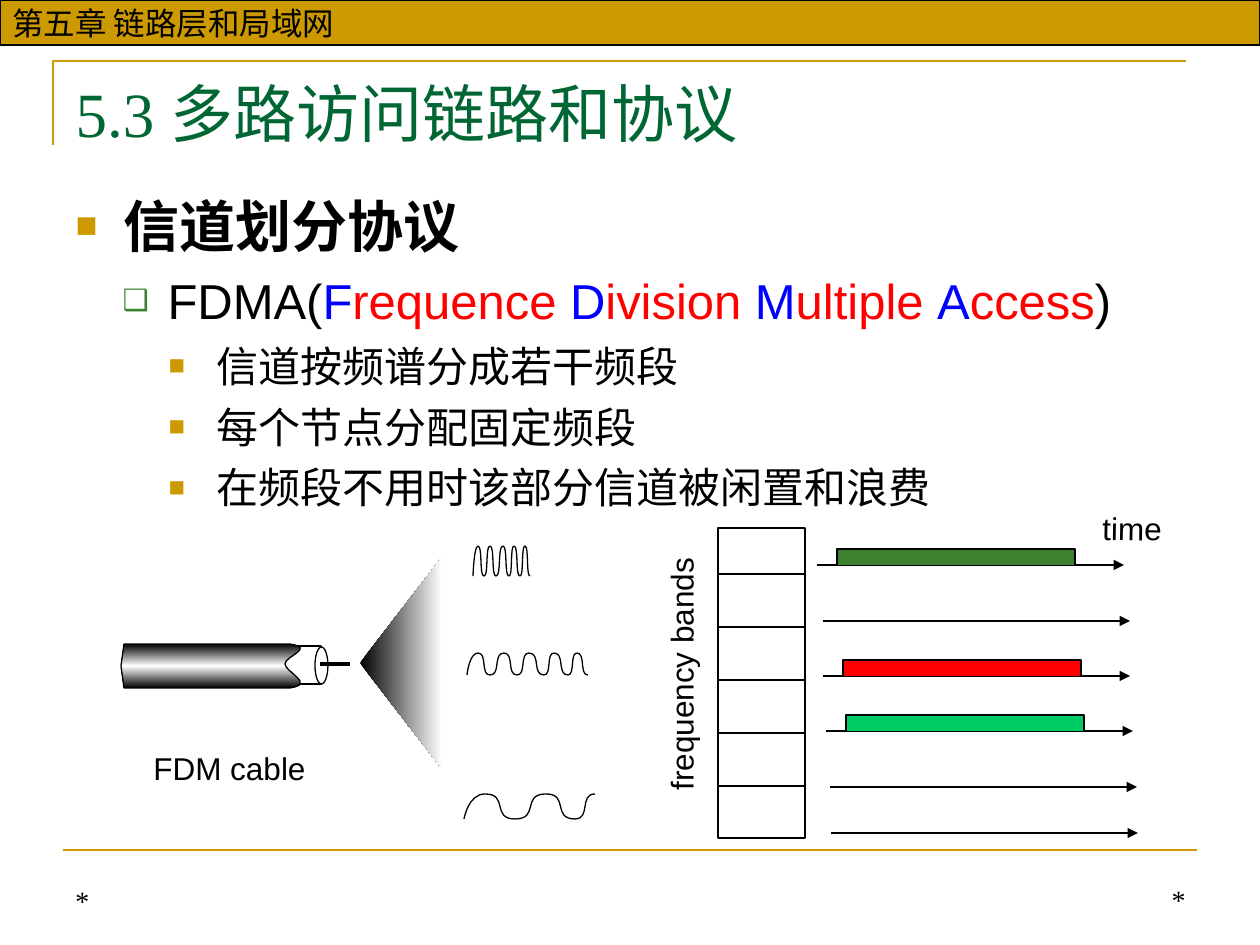
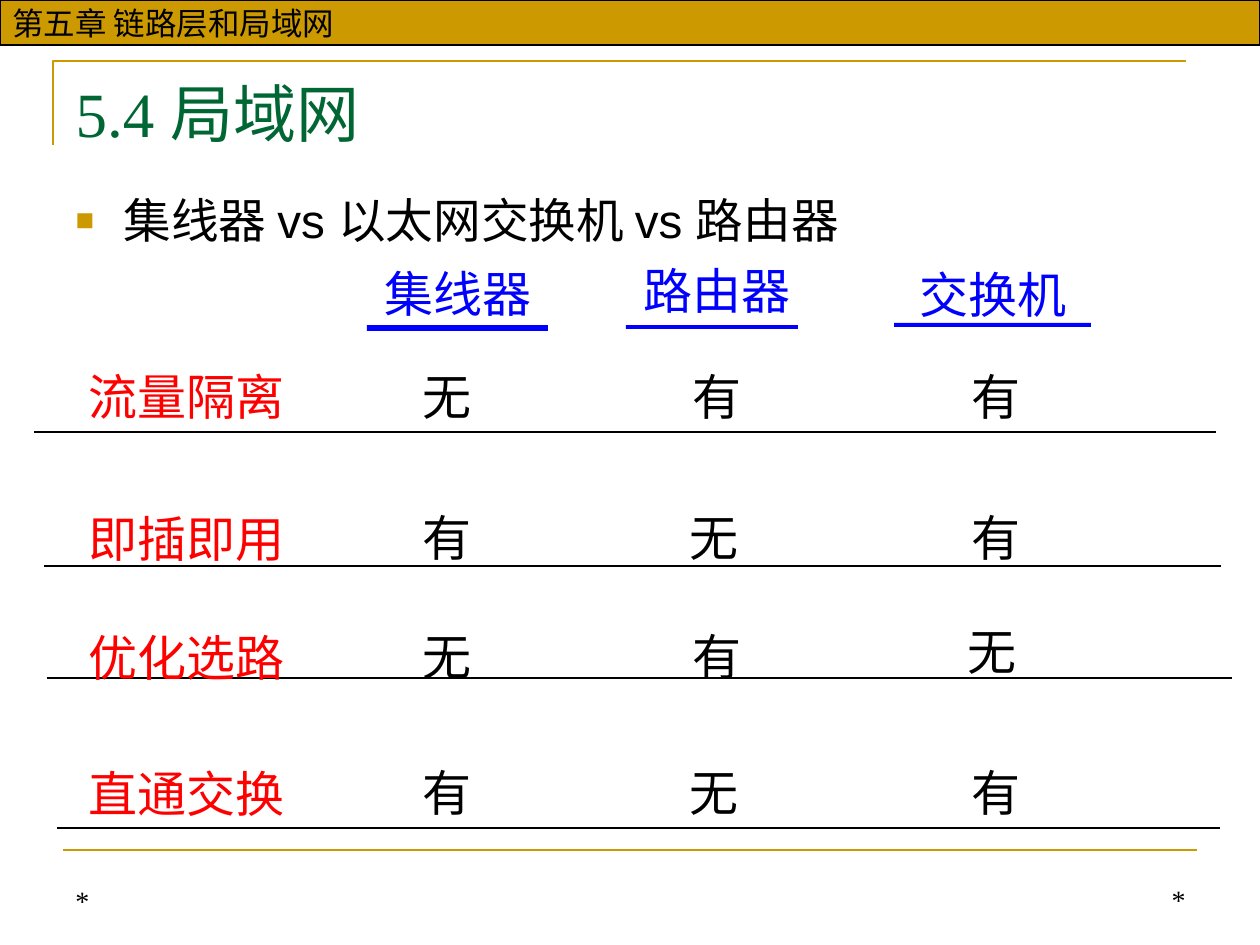
from copy import deepcopy

from lxml import etree
from pptx import Presentation
from pptx import util as u
from pptx.dml.color import RGBColor
from pptx.enum import shapes, text
from pptx.oxml.ns import qn

PX = 914400 / 126
COLOURS = {
    "gold": "CC9900", "title": "006633", "black": "000000", "white": "FFFFFF",
    "blue": "0000FF", "red": "FF0000", "green": "3B812F", "mint": "00CC66",
}
SANS, SERIF = "Arial", "Times New Roman"

# Shared frame
CHAPTER = "第五章 链路层和局域网"
TITLE_BOX = (63, 68, 1134, 97)
FOOTERS = [((63, 860, 294, 63), text.PP_ALIGN.LEFT), ((799, 859, 399, 63), text.PP_ALIGN.RIGHT)]
# Per outline level: left margin, hanging indent, space before, glyph, glyph %, colour
LEVELS = [
    (48, 48, 8, "■", 65, "gold"),
    (92, 45, 7, "❑", 60, "green"),
    (141, 48, 6, "■", 65, "gold"),
]

# Slide 1: level, size, bold, spans
FDMA_TITLE = "5.3 多路访问链路和协议"
FDMA_NAME = [
    ("FDMA(", "black"), ("F", "blue"), ("requence ", "red"), ("D", "blue"), ("ivision ", "red"),
    ("M", "blue"), ("ultiple ", "red"), ("A", "blue"), ("ccess", "red"), (")", "black"),
]
FDMA_OUTLINE = [
    (0, 32, True, [("信道划分协议", "black")]),
    (1, 28, False, FDMA_NAME),
    (2, 24, False, [("信道按频谱分成若干频段", "black")]),
    (2, 24, False, [("每个节点分配固定频段", "black")]),
    (2, 24, False, [("在频段不用时该部分信道被闲置和浪费", "black")]),
]
DIAGRAM_LABELS = [  # text, box, rotation
    ("frequency bands", (552, 649, 258, 50), 270),
    ("time", (1090, 503, 86, 50), 1.1),
    ("FDM cable", (141, 743, 178, 50), 0),
]
# Time axis start, height, and colour of the slot in use
TIME_AXES = [
    (817, 565, "green"), (823, 621, None), (823, 676, "red"),
    (826, 731, "mint"), (830, 787, None), (831, 833, None),
]
AXIS_LENGTH, SLOT_OFFSET, SLOT_WIDTH, SLOT_HEIGHT = 307, 20, 238, 16
BANDS_BOX, BAND_COUNT, BAND_STEP = (718, 528, 87, 310), 6, 53
# Crest height, trough height, turning points from left to right
WAVES = [
    (546, 576, [473, 478, 484, 490, 496, 503, 509, 514, 520, 525, 530]),
    (653, 675, [467, 478, 490, 504, 517, 529, 544, 554, 568, 577, 588]),
    (794, 819, [464, 485, 515, 546, 575, 595]),
]

# Slide 2
LAN_TITLE = "5.4 局域网"
LAN_OUTLINE = [(0, 27.2, False, [("集线器 vs 以太网交换机 vs 路由器", "black")])]
DEVICES = [  # name, text corner, underline box
    ("集线器", (385, 264), (367, 325, 181, 6)),
    ("路由器", (644, 261), (626, 325, 172, 4)),
    ("交换机", (920, 265), (894, 323, 197, 4)),
]
COLUMN_LEFTS = [89, 423, 693, 972]
FEATURES = [  # row cells, text top, rule (left, right, height)
    (["流量隔离", "无", "有", "有"], 367, (34, 1216, 432)),
    (["即插即用", "有", "无", "有"], 508, (44, 1221, 566)),
    (["优化选路", "无", "有", "无"], 627, (47, 1232, 678)),
    (["直通交换", "有", "无", "有"], 763, (57, 1220, 828)),
]
NUDGES = {(1, 2): (-3, 0), (2, 3): (-4, -5), (3, 2): (-3, 0)}  # (row, column): shift
GLYPH_WIDTH, CELL_HEIGHT = 49, 59


def emu(*lengths):
    return [round(length * PX) for length in lengths]


def rgb(name):
    return RGBColor.from_string(COLOURS[name])


def style_shape(shape, fill=None, line=None, width=0.75):
    shape.shadow.inherit = False
    if fill:
        shape.fill.solid()
        shape.fill.fore_color.rgb = rgb(fill)
    else:
        shape.fill.background()
    if line:
        shape.line.color.rgb = rgb(line)
        shape.line.width = u.Pt(width)
    else:
        shape.line.fill.background()
    return shape


def add_preset(slide, box, fill, line=None, width=0.75, kind=shapes.MSO_SHAPE.RECTANGLE):
    return style_shape(slide.shapes.add_shape(kind, *emu(*box)), fill, line, width)


def add_outline(slide, start, segments, fill=None, line=None, width=0.75, close=False):
    """Draw segments of one point (a straight line) or three points (a Bezier curve)."""
    builder = slide.shapes.build_freeform(*emu(*start))
    points = [tuple(emu(*point)) for segment in segments for point in segment]
    builder.add_line_segments(points, close=close)
    shape = builder.convert_to_shape()
    lines = iter(shape._element.spPr.findall(".//" + qn("a:lnTo")))
    for segment in segments:
        steps = [next(lines) for _ in segment]
        if len(steps) == 3:
            bezier = etree.Element(qn("a:cubicBezTo"))
            steps[0].addprevious(bezier)
            for step in steps:
                bezier.append(step[0])
                step.getparent().remove(step)
    return style_shape(shape, fill, line, width)


def add_line(slide, start, end, colour="black", width=1.5, arrow=False):
    line = slide.shapes.add_connector(
        shapes.MSO_CONNECTOR.STRAIGHT, *emu(*start), *emu(*end))
    line.line.color.rgb = rgb(colour)
    line.line.width = u.Pt(width)
    properties = line._element.spPr
    if arrow:
        etree.SubElement(properties.find(qn("a:ln")), qn("a:tailEnd"), type="triangle")
    etree.SubElement(properties, qn("a:effectLst"))


def fill_gradient(shape, names, angle):
    shape.fill.gradient()
    shape.fill.gradient_angle = angle
    stop_list = shape._element.spPr.find(".//" + qn("a:gsLst"))
    while len(stop_list) < len(names):
        stop_list.append(deepcopy(stop_list[0]))
    for index, (stop, name) in enumerate(zip(shape.fill.gradient_stops, names)):
        stop.position = index / (len(names) - 1)
        stop.color.rgb = rgb(name)


def set_font(para, size, colour="black", name=SANS, bold=False):
    font = para.font
    font.name, font.size, font.bold = name, u.Pt(size), bold
    font.color.rgb = rgb(colour)


def add_label(slide, box, words, size=18, colour="black", inset=True, rotation=0):
    label = slide.shapes.add_textbox(*emu(*box))
    label.rotation = rotation
    frame = label.text_frame
    frame.word_wrap = False
    frame.auto_size = text.MSO_AUTO_SIZE.SHAPE_TO_FIT_TEXT
    if not inset:
        frame.margin_left = frame.margin_right = frame.margin_top = frame.margin_bottom = 0
    para = frame.paragraphs[0]
    para.text = words
    set_font(para, size, colour)


def add_footer(slide, box, align):
    frame = slide.shapes.add_textbox(*emu(*box)).text_frame
    frame.word_wrap = True
    frame.vertical_anchor = text.MSO_ANCHOR.BOTTOM
    para = frame.paragraphs[0]
    para.text, para.alignment = "*", align
    set_font(para, 16, name=SERIF)


def prepare_placeholder(holder, box):
    holder.left, holder.top, holder.width, holder.height = emu(*box)
    frame = holder.text_frame
    frame.word_wrap = True
    frame.auto_size = text.MSO_AUTO_SIZE.NONE
    frame.vertical_anchor = text.MSO_ANCHOR.TOP
    return frame


def add_bullet(para, level):
    margin, hanging, _, glyph, percent, colour = LEVELS[level]
    properties = para._p.get_or_add_pPr()
    properties.set("marL", str(emu(margin)[0]))
    properties.set("indent", str(-emu(hanging)[0]))
    tint = etree.SubElement(properties, qn("a:buClr"))
    etree.SubElement(tint, qn("a:srgbClr"), val=COLOURS[colour])
    etree.SubElement(properties, qn("a:buSzPct"), val=str(percent * 1000))
    etree.SubElement(properties, qn("a:buFont"), typeface=SANS)
    etree.SubElement(properties, qn("a:buChar"), char=glyph)


def write_outline(holder, height, outline):
    frame = prepare_placeholder(holder, (63, 185, 1134, height))
    for index, (level, size, bold, spans) in enumerate(outline):
        para = frame.add_paragraph() if index else frame.paragraphs[0]
        para.level = level
        para.space_before = u.Pt(LEVELS[level][2] if index else 0)
        add_bullet(para, level)
        set_font(para, size, bold=bold)
        for words, colour in spans:
            span = para.add_run()
            span.text = words
            span.font.color.rgb = rgb(colour)


def add_page(deck, title, body_height, outline):
    slide = deck.slides.add_slide(deck.slide_layouts[1])
    add_outline(slide, (53, 145), [[(53, 61)], [(1186, 61)]], line="gold", width=1.5)
    add_line(slide, (63, 850), (1197, 850), "gold")
    band = add_preset(slide, (0, 0, 1260, 45), "gold", "black")
    band.text_frame.vertical_anchor = text.MSO_ANCHOR.MIDDLE
    para = band.text_frame.paragraphs[0]
    para.text, para.alignment = CHAPTER, text.PP_ALIGN.LEFT
    set_font(para, 18)
    for box, align in FOOTERS:
        add_footer(slide, box, align)
    para = prepare_placeholder(slide.shapes.title, TITLE_BOX).paragraphs[0]
    para.text, para.alignment = title, text.PP_ALIGN.LEFT
    set_font(para, 36, "title", SERIF)
    write_outline(slide.placeholders[1], body_height, outline)
    return slide


def draw_bands(slide):
    left, top, width, _ = BANDS_BOX
    add_preset(slide, BANDS_BOX, "white", "black", 1.5)
    for index in range(BAND_COUNT - 1):
        y = top + 46 + index * BAND_STEP
        add_line(slide, (left, y), (left + width, y))
    for x, y, colour in TIME_AXES:
        add_line(slide, (x, y), (x + AXIS_LENGTH, y), arrow=True)
        if colour:
            near, far, crest = x + SLOT_OFFSET, x + SLOT_OFFSET + SLOT_WIDTH, y - SLOT_HEIGHT
            add_outline(slide, (near, y), [[(near, crest)], [(far, crest)], [(far, y)]],
                        colour, "black", 1.5)


def draw_cable(slide):
    cone = add_outline(slide, (442, 557), [[(360, 663)], [(442, 769)]], close=True)
    fill_gradient(cone, ["black", "white"], 0)
    add_preset(slide, (284, 646, 37, 38), "white", "black")
    jacket = [
        [(121, 666)], [(124, 688)], [(290, 688)],
        [(316, 684), (285, 672), (285, 664)],
        [(285, 656), (316, 648), (290, 644)],
    ]
    sheath = add_outline(slide, (124, 644), jacket, line="black", close=True)
    fill_gradient(sheath, ["black", "white", "black"], 90)
    add_preset(slide, (315, 647, 13, 37), "white", "black", kind=shapes.MSO_SHAPE.OVAL)
    add_line(slide, (320, 664), (350, 664), width=2.25)


def draw_wave(slide, crest, trough, turns):
    points = [(x, crest if index % 2 else trough) for index, x in enumerate(turns)]
    segments = []
    for (x0, y0), (x1, y1) in zip(points, points[1:]):
        pull = 0.8 * (x1 - x0) if segments else 0
        segments.append([(x0 + pull, y0), (x0 + 0.2 * (x1 - x0), y1), (x1, y1)])
    add_outline(slide, points[0], segments, line="black")


def build_fdma(deck):
    slide = add_page(deck, FDMA_TITLE, 655, FDMA_OUTLINE)
    draw_bands(slide)
    draw_cable(slide)
    for wave in WAVES:
        draw_wave(slide, *wave)
    for words, box, rotation in DIAGRAM_LABELS:
        add_label(slide, box, words, rotation=rotation)


def add_cell(slide, left, top, words, colour):
    box = (left, top, GLYPH_WIDTH * len(words), CELL_HEIGHT)
    add_label(slide, box, words, 28, colour, inset=False)


def build_comparison(deck):
    slide = add_page(deck, LAN_TITLE, 71, LAN_OUTLINE)
    for name, corner, underline in DEVICES:
        add_cell(slide, *corner, name, "blue")
        add_preset(slide, underline, "blue")
    for row, (cells, top, (left, right, y)) in enumerate(FEATURES):
        add_line(slide, (left, y), (right, y), width=0.75)
        for column, (words, x) in enumerate(zip(cells, COLUMN_LEFTS)):
            dx, dy = NUDGES.get((row, column), (0, 0))
            add_cell(slide, x + dx, top + dy, words, "black" if column else "red")


def main():
    deck = Presentation()
    deck.slide_width, deck.slide_height = emu(1260, 945)
    build_fdma(deck)
    build_comparison(deck)
    deck.save("out.pptx")


if __name__ == "__main__":
    main()
